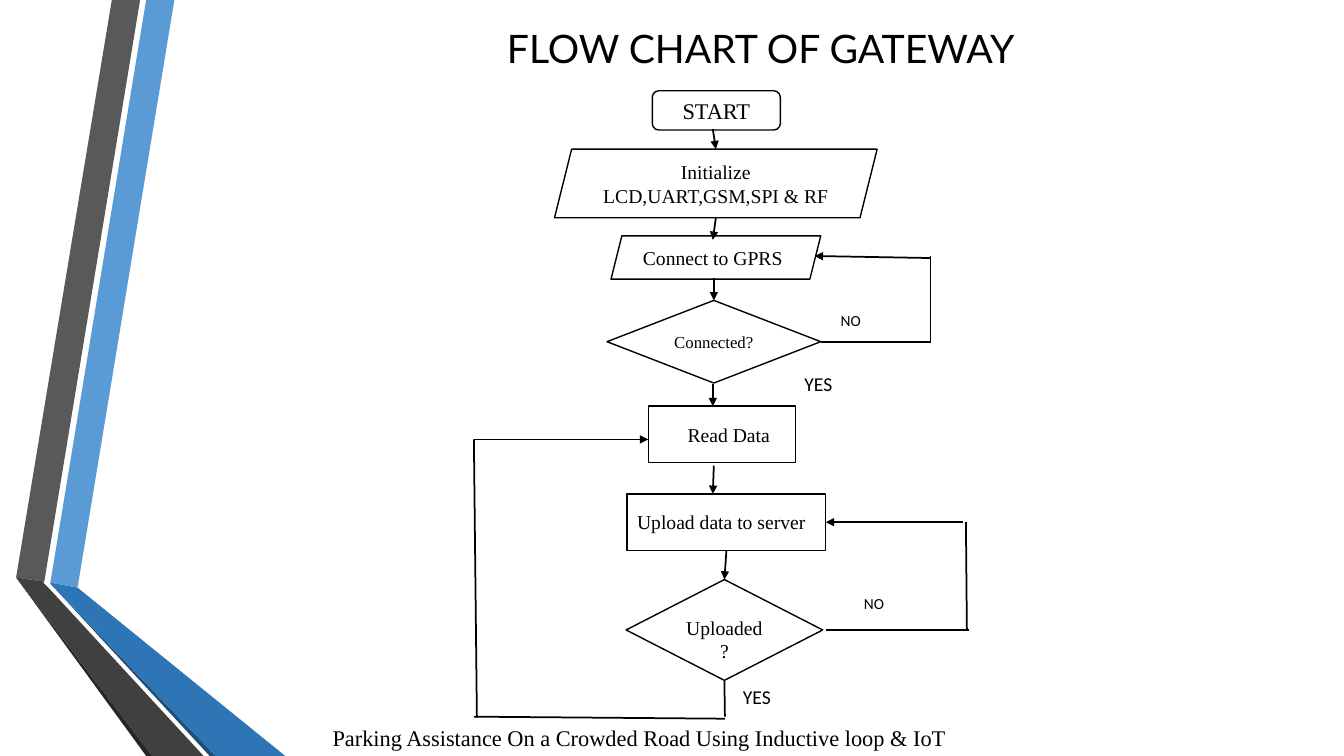
from pptx import Presentation
from pptx.dml.color import RGBColor
from pptx.enum.shapes import MSO_CONNECTOR, MSO_SHAPE
from pptx.enum.text import MSO_ANCHOR, PP_ALIGN
from pptx.oxml.ns import qn
from pptx.util import Inches, Pt
from lxml.etree import SubElement

# The grid has 100 columns and 100 rows to the inch.
COLS, ROWS = 1333, 750
CELL = Inches(0.01)

COLORS = {
    "black": "000000", "white": "FFFFFF", "sky": "5B9BD5", "gray": "595959",
    "coal": "262626", "navy": "1F4E79", "blue": "2E75B6", "dark": "404040",
}
SERIF, SANS, HEAD = "Times New Roman", "Calibri", "Lato"

RIBBONS = [
    ("sky", [(50, 578), (77, 583), (173, 0), (145, 0)]),
    ("gray", [(139, 0), (111, 0), (16, 573), (44, 577)]),
    ("coal", [(16, 573), (145, 750), (151, 750)]),
    ("navy", [(50, 579), (208, 750), (214, 750)]),
    ("blue", [(50, 578), (50, 579), (214, 750), (283, 750), (77, 583)]),
    ("dark", [(202, 750), (48, 583), (43, 578), (44, 577), (16, 573), (151, 750)]),
]

# text, box, font, size, centred, anchored in the middle
TEXTS = [
    ("Parking Assistance On a Crowded Road Using Inductive loop & IoT",
     (320, 713, 977, 37), SERIF, 16, False, True),
    ("FLOW CHART OF GATEWAY", (266, 19, 977, 60), HEAD, 28, True, False),
    ("NO", (824, 304, 46, 35), SANS, 11, False, False),
    ("YES", (788, 364, 54, 34), SANS, 14, False, False),
    ("NO", (847, 584, 46, 35), SANS, 11, False, False),
    ("YES", (727, 675, 54, 34), SANS, 14, False, False),
]

ROUND, SLANT = MSO_SHAPE.FLOWCHART_ALTERNATE_PROCESS, MSO_SHAPE.PARALLELOGRAM
RECT, DIAMOND = MSO_SHAPE.RECTANGLE, MSO_SHAPE.DIAMOND

# name: shape, box, text, size, centred, left inset, top inset
STEPS = {
    "start": (ROUND, (647, 90, 127, 39), "START", 16, True, 10, 5),
    "init": (SLANT, (550, 148, 320, 68),
             "Initialize LCD,UART,GSM,SPI & RF", 14, True, 10, 5),
    "connect": (SLANT, (606, 234, 208, 43), "Connect to GPRS", 14, False, 10, 5),
    "linked": (DIAMOND, (602, 298, 212, 82), "Connected?", 12, True, 10, 5),
    "read": (RECT, (643, 403, 146, 56), "Read Data", 14, False, 39, 5),
    "upload": (RECT, (622, 490, 197, 56), "Upload data to server", 14, False, 10, 5),
    "done": (DIAMOND, (621, 575, 195, 100), "Uploaded?", 14, True, 10, 23),
}

# from, to, arrow, joined start, joined end
TOP, LEFT, BOTTOM, RIGHT = range(4)
LINKS = [
    ((707, 128), (710, 148), True, None, None),
    ((710, 216), (707, 238), True, None, None),
    ((708, 276), (708, 298), True, None, ("linked", TOP)),
    ((707, 381), (707, 403), True, None, None),
    ((708, 462), (707, 490), True, None, None),
    ((720, 546), (719, 575), True, ("upload", BOTTOM), ("done", TOP)),
    ((814, 339), (923, 339), False, ("linked", RIGHT), None),
    ((923, 339), (923, 254), False, None, None),
    ((923, 256), (808, 254), True, None, None),
    ((819, 625), (961, 625), False, None, None),
    ((959, 625), (958, 518), False, None, None),
    ((955, 518), (819, 518), True, None, ("upload", RIGHT)),
    ((719, 675), (719, 711), False, ("done", BOTTOM), None),
    ((719, 713), (470, 711), False, None, None),
    ((473, 712), (470, 436), False, None, None),
    ((470, 436), (643, 436), True, None, None),
]


def rgb(name):
    return RGBColor.from_string(COLORS[name])


def cells(values):
    return [CELL * v for v in values]


def paint(shape, fill, edge=None):
    shape.shadow.inherit = False
    shape.fill.solid()
    shape.fill.fore_color.rgb = rgb(fill)
    if edge:
        shape.line.color.rgb = rgb(edge)
        shape.line.width = Pt(1)
    else:
        shape.line.fill.background()


def write(shape, text, font, size, center, middle, left=10, top=5):
    frame = shape.text_frame
    frame.word_wrap = True
    frame.margin_left, frame.margin_top = cells((left, top))
    frame.vertical_anchor = MSO_ANCHOR.MIDDLE if middle else MSO_ANCHOR.TOP
    para = frame.paragraphs[0]
    para.alignment = PP_ALIGN.CENTER if center else PP_ALIGN.LEFT
    run = para.add_run()
    run.text = text
    run.font.name = font
    run.font.size = Pt(size)
    run.font.color.rgb = rgb("black")


def link(shapes, nodes, start, end, arrow, first, last):
    line = shapes.add_connector(MSO_CONNECTOR.STRAIGHT, *cells(start + end))
    if first:
        line.begin_connect(nodes[first[0]], first[1])
    if last:
        line.end_connect(nodes[last[0]], last[1])
    line.line.color.rgb = rgb("black")
    line.line.width = Pt(1.25)
    props = line.element.spPr
    if arrow:
        SubElement(props.find(qn("a:ln")), qn("a:tailEnd"), type="triangle")
    SubElement(props, qn("a:effectLst"))


def main():
    deck = Presentation()
    deck.slide_width, deck.slide_height = cells((COLS, ROWS))
    shapes = deck.slides.add_slide(deck.slide_layouts[6]).shapes

    for color, points in RIBBONS:
        pen = shapes.build_freeform(*points[0], scale=CELL)
        pen.add_line_segments(points[1:], close=True)
        paint(pen.convert_to_shape(), color)

    for text, box, *style in TEXTS:
        write(shapes.add_textbox(*cells(box)), text, *style)

    nodes = {}
    for name, (kind, box, text, size, center, left, top) in STEPS.items():
        node = nodes[name] = shapes.add_shape(kind, *cells(box))
        paint(node, "white", "black")
        write(node, text, SERIF, size, center, True, left, top)

    for item in LINKS:
        link(shapes, nodes, *item)

    deck.save("out.pptx")


if __name__ == "__main__":
    main()
